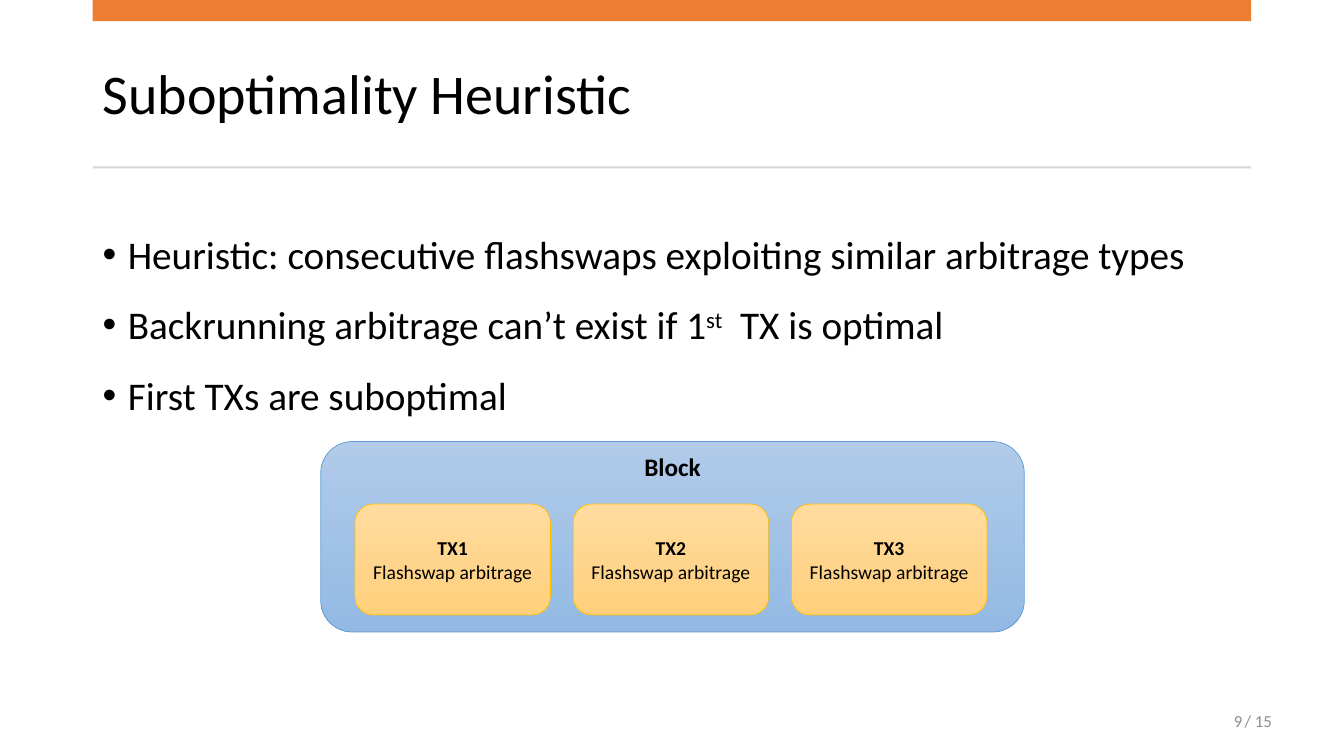
from lxml.etree import SubElement
from pptx import Presentation
from pptx.dml.color import RGBColor
from pptx.enum.shapes import MSO_SHAPE
from pptx.enum.text import MSO_ANCHOR, PP_ALIGN
from pptx.oxml.ns import qn
from pptx.util import Inches, Pt


def color(value):
    return RGBColor.from_string(value)


class SlideBuilder:
    """Draws styled elements on a slide measured as a grid of 100 columns by 100 rows."""

    font = "Calibri"
    ink = "000000"
    muted = "8C8C8C"

    def __init__(self, deck):
        self.column = deck.slide_width / 100
        self.row = deck.slide_height / 100
        self.page = deck.slides.add_slide(deck.slide_layouts[6])
        self.shapes = self.page.shapes

    def place(self, left, top, width, height):
        return (round(left * self.column), round(top * self.row),
                round(width * self.column), round(height * self.row))

    def style(self, paragraph, size, ink=None, align=PP_ALIGN.LEFT, spacing=1.0):
        paragraph.alignment = align
        paragraph.line_spacing = spacing
        for span in paragraph.runs:
            span.font.name = self.font
            span.font.size = Pt(size)
            span.font.color.rgb = color(ink or self.ink)

    def text(self, words, area, size, ink=None, align=PP_ALIGN.LEFT, spacing=1.0):
        frame = self.shapes.add_textbox(*self.place(*area)).text_frame
        frame.word_wrap = True
        frame.vertical_anchor = MSO_ANCHOR.MIDDLE
        frame.text = words
        self.style(frame.paragraphs[0], size, ink, align, spacing)

    def bullets(self, items, area, size):
        frame = self.shapes.add_textbox(*self.place(*area)).text_frame
        frame.word_wrap = True
        for index, parts in enumerate(items):
            paragraph = frame.add_paragraph() if index else frame.paragraphs[0]
            for position, words in enumerate(parts):
                span = paragraph.add_run()
                span.text = words
                if position == 1:
                    span._r.get_or_add_rPr().set("baseline", "30000")
            self.style(paragraph, size, spacing=1.5)
            properties = paragraph._p.get_or_add_pPr()
            properties.set("marL", str(Inches(0.25)))
            properties.set("indent", str(-Inches(0.25)))
            SubElement(properties, qn("a:buFont")).set("typeface", "Arial")
            SubElement(properties, qn("a:buChar")).set("char", "•")

    def bar(self, area, fill):
        bar = self.shapes.add_shape(MSO_SHAPE.RECTANGLE, *self.place(*area))
        bar.shadow.inherit = False
        bar.fill.solid()
        bar.fill.fore_color.rgb = color(fill)
        bar.line.fill.background()

    def card(self, words, area, size, gradient, outline, anchor=MSO_ANCHOR.MIDDLE):
        card = self.shapes.add_shape(MSO_SHAPE.ROUNDED_RECTANGLE, *self.place(*area))
        card.shadow.inherit = False
        card.fill.gradient()
        card.fill.gradient_angle = 270
        for stop, shade, position in zip(card.fill.gradient_stops, gradient, (0, 1)):
            stop.color.rgb = color(shade)
            stop.position = position
        card.line.color.rgb = color(outline)
        card.line.width = Pt(0.5)
        frame = card.text_frame
        frame.word_wrap = True
        frame.vertical_anchor = anchor
        frame.margin_top = frame.margin_bottom = Inches(0.01)
        frame.text = words
        for paragraph in frame.paragraphs:
            self.style(paragraph, size, align=PP_ALIGN.CENTER)
        frame.paragraphs[0].runs[0].font.bold = True

    def start_group(self):
        self.shapes = self.page.shapes.add_group_shape().shapes


def main():
    deck = Presentation()
    deck.slide_width, deck.slide_height = Inches(13.33), Inches(7.5)
    slide = SlideBuilder(deck)
    left, width = 6.9, 86.2

    slide.text("Suboptimality Heuristic", (left, 4.93, width, 15.73), 40, spacing=0.9)
    slide.bullets([
        ["Heuristic: consecutive flashswaps exploiting similar arbitrage types"],
        ["Backrunning arbitrage can’t exist if 1", "st", "  TX is optimal"],
        ["First TXs are suboptimal"],
    ], (left, 26.67, width, 63.47), 28)
    slide.bar((left, 0, width, 2.8), "ED7D31")
    slide.bar((left, 22, width, 0.27), "D5D5D5")
    slide.text("/ 15", (91.75, 92.67, 3.75, 5.33), 12, slide.muted, PP_ALIGN.CENTER)
    slide.text("9", (70.67, 92.67, 22.5, 5.33), 12, slide.muted, PP_ALIGN.RIGHT)

    slide.start_group()
    slide.card("Block", (23.86, 58.4, 52.36, 25.2), 18,
               ("B1CBE9", "93B9E4"), "5B9BD5", MSO_ANCHOR.TOP)
    for index in range(3):
        slide.card(f"TX{index + 1}\nFlashswap arbitrage",
                   (26.41 + 16.24 * index, 66.67, 14.55, 14.67), 14,
                   ("FFDB9E", "FFD07C"), "FFC000")

    deck.save("out.pptx")


if __name__ == "__main__":
    main()
